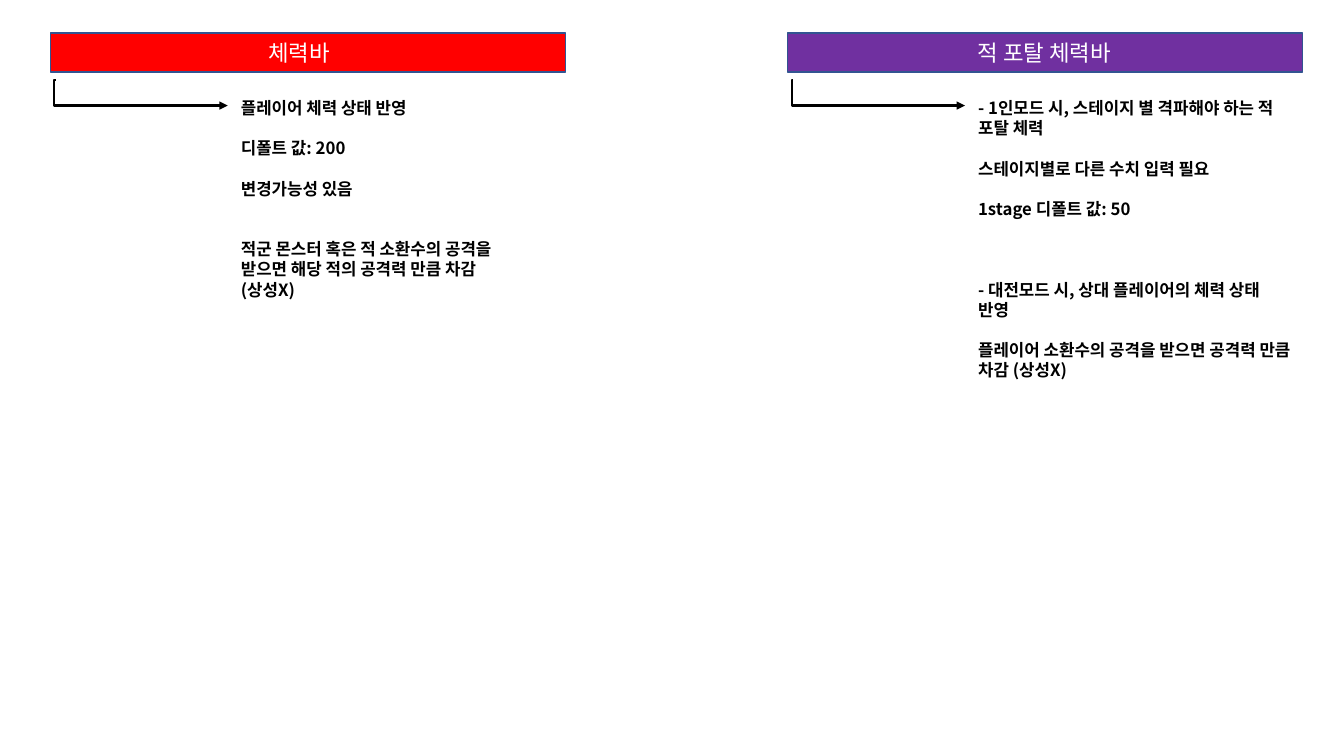
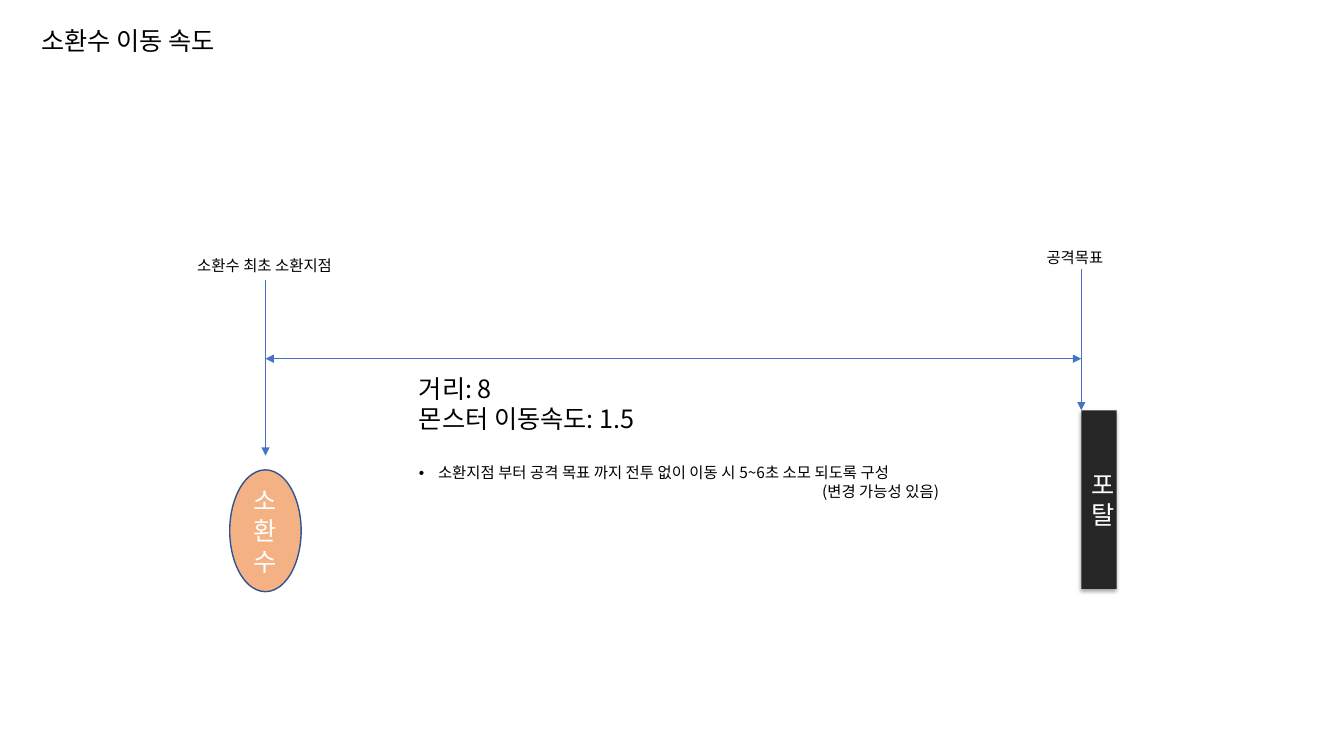
from lxml import etree
from pptx import Presentation
from pptx.dml.color import RGBColor
from pptx.enum.shapes import MSO_CONNECTOR, MSO_SHAPE
from pptx.enum.text import MSO_ANCHOR, PP_ALIGN
from pptx.oxml.ns import qn
from pptx.util import Cm, Pt

# Shared style
FONT = "Noto Sans CJK KR"
BLACK, WHITE, BLUE, OUTLINE = "000000", "FFFFFF", "4472C4", "325491"
LINE_HEIGHT = 1.2  # line pitch as a multiple of the text size

# Slide 1 content: heading, its inset, band colour, body width, (text, blank lines above)
BARS = [
    ("체력바", 5.49, "FF0000", 7.7, [
        ("플레이어 체력 상태 반영", 0),
        ("디폴트 값: 200", 1),
        ("변경가능성 있음", 1),
        ("적군 몬스터 혹은 적 소환수의 공격을 받으면 해당 적의 공격력 만큼 차감", 2),
        ("(상성X)", 0),
    ]),
    ("적 포탈 체력바", 4.79, "7030A0", 8.46, [
        ("- 1인모드 시, 스테이지 별 격파해야 하는 적 포탈 체력", 0),
        ("스테이지별로 다른 수치 입력 필요", 1),
        ("1stage 디폴트 값: 50", 1),
        ("- 대전모드 시, 상대 플레이어의 체력 상태 반영", 3),
        ("플레이어 소환수의 공격을 받으면 공격력 만큼 차감 (상성X)", 1),
    ]),
]
BAR_LEFT, BAR_STEP = 1.27, 18.58

# Slide 2 content
TITLE = "소환수 이동 속도"
SUMMON_X, PORTAL_X, DISTANCE_Y = 6.69, 27.25, 9.04
LABELS = [  # text, left, top, width
    ("소환수 최초 소환지점", 4.5, 6.32, 4.34),
    ("공격목표", 25.96, 6.12, 2.26),
]
ARROWS = [  # start, end, head at both ends
    ((SUMMON_X, 7.06), (SUMMON_X, 11.48), False),
    ((PORTAL_X, 6.78), (PORTAL_X, 10.34), False),
    ((SUMMON_X, DISTANCE_Y), (PORTAL_X, DISTANCE_Y), True),
]
SPEED = [("거리: 8", 0, 18), ("몬스터 이동속도: 1.5", 0, 18)]
TRAVEL = "소환지점 부터 공격 목표 까지 전투 없이 이동 시 5~6초 소모 되도록 구성"
TRAVEL_NOTE = "(변경 가능성 있음)"


def rgb(value):
    return RGBColor.from_string(value)


def add_xml(parent, tag, **attributes):
    return etree.SubElement(parent, qn(tag), attributes)


def write(frame, lines, color=BLACK, bold=False, align=PP_ALIGN.LEFT,
          anchor=MSO_ANCHOR.TOP):
    """Fill a frame with (text, blank lines above, size) paragraphs."""
    frame.word_wrap = True
    frame.vertical_anchor = anchor
    for i, (text, gap, size) in enumerate(lines):
        paragraph = frame.paragraphs[0] if i == 0 else frame.add_paragraph()
        paragraph.alignment = align
        paragraph.space_before = Pt(gap * size * LINE_HEIGHT)
        run = paragraph.add_run()
        run.text = text
        run.font.size, run.font.bold, run.font.name = Pt(size), bold, FONT
        run.font.color.rgb = rgb(color)
        add_xml(run.font._element, "a:ea", typeface=FONT)


def add_text(slide, box, lines, **style):
    frame = slide.shapes.add_textbox(*map(Cm, box)).text_frame
    write(frame, lines, **style)
    return frame


def add_block(slide, kind, box, fill, outline=None):
    shape = slide.shapes.add_shape(kind, *map(Cm, box))
    shape.shadow.inherit = False
    shape.fill.solid()
    shape.fill.fore_color.rgb = rgb(fill)
    if outline:
        shape.line.color.rgb = rgb(outline)
        shape.line.width = Pt(1)
    else:
        shape.line.fill.background()
    return shape


def add_arrow(slide, kind, start, end, color, width, both=False):
    arrow = slide.shapes.add_connector(kind, *map(Cm, start + end))
    arrow.line.color.rgb = rgb(color)
    arrow.line.width = Pt(width)
    line = arrow.line._get_or_add_ln()
    if both:
        add_xml(line, "a:headEnd", type="triangle")
    add_xml(line, "a:tailEnd", type="triangle")
    add_xml(arrow._element.spPr, "a:effectLst")
    return arrow


prs = Presentation()
prs.slide_width, prs.slide_height = Cm(33.87), Cm(19.05)
TITLE_ONLY, BLANK = prs.slide_layouts[5], prs.slide_layouts[6]

# Slide 1: two health bars with their rules
slide = prs.slides.add_slide(BLANK)
for i, (heading, inset, color, body_width, rules) in enumerate(BARS):
    left = BAR_LEFT + i * BAR_STEP
    band = add_block(slide, MSO_SHAPE.RECTANGLE, (left, 0.83, 12.98, 0.99), color, OUTLINE)
    band.text_frame.margin_left = Cm(inset)
    write(band.text_frame, [(heading, 0, 16)], WHITE, anchor=MSO_ANCHOR.MIDDLE)
    elbow = add_arrow(slide, MSO_CONNECTOR.ELBOW, (left + 0.13, 2.01),
                      (left + 4.47, 2.66), BLACK, 1.5)
    guides = elbow._element.spPr.find(qn("a:prstGeom")).get_or_add_avLst()
    add_xml(guides, "a:gd", name="adj1", fmla="val -700")
    add_text(slide, (left + 4.55, 2.34, body_width, 5.4),
             [(text, gap, 12) for text, gap in rules], bold=True)

# Slide 2: title
slide = prs.slides.add_slide(TITLE_ONLY)
title = slide.shapes.title
title.left, title.top, title.width, title.height = map(Cm, (0.79, 0.51, 13.03, 1.02))
write(title.text_frame, [(TITLE, 0, 18)])

# Summon and portal
summon = add_block(slide, MSO_SHAPE.OVAL, (5.79, 11.84, 1.8, 3.07), "F4B183", OUTLINE)
portal = add_block(slide, MSO_SHAPE.RECTANGLE, (PORTAL_X, 10.34, 0.89, 4.5), "262626")
for shape, text in ((summon, "소환수"), (portal, "포탈")):
    write(shape.text_frame, [(text, 0, 18)], WHITE, align=PP_ALIGN.CENTER,
          anchor=MSO_ANCHOR.MIDDLE)
effects = portal._element.spPr.find(qn("a:effectLst"))
shadow = add_xml(effects, "a:outerShdw", blurRad=str(Pt(3.1)), dist=str(Pt(1.8)),
                 dir="5400000", algn="t", rotWithShape="0")
add_xml(add_xml(shadow, "a:srgbClr", val=BLACK), "a:alpha", val="35000")

# Arrows and their labels
for start, end, both in ARROWS:
    add_arrow(slide, MSO_CONNECTOR.STRAIGHT, start, end, BLUE, 0.5, both)
for text, left, top, width in LABELS:
    add_text(slide, (left, top, width, 0.73), [(text, 0, 11)], align=PP_ALIGN.CENTER)

# Distance and speed
frame = add_text(slide, (10.31, 9.27, 14.22, 3.51),
                 SPEED + [(TRAVEL, 0, 11), (TRAVEL_NOTE, 0, 11)])
bullet, note = frame.paragraphs[2:]
bullet.space_before = Pt(18 * LINE_HEIGHT)
bullet_format = bullet._p.get_or_add_pPr()
bullet_format.set("marL", str(Cm(0.48)))
bullet_format.set("indent", str(Cm(-0.48)))
add_xml(bullet_format, "a:buFont", typeface="Arial")
add_xml(bullet_format, "a:buChar", char="•")
note._p.get_or_add_pPr().set("marL", str(Cm(10.16)))

prs.save("out.pptx")
